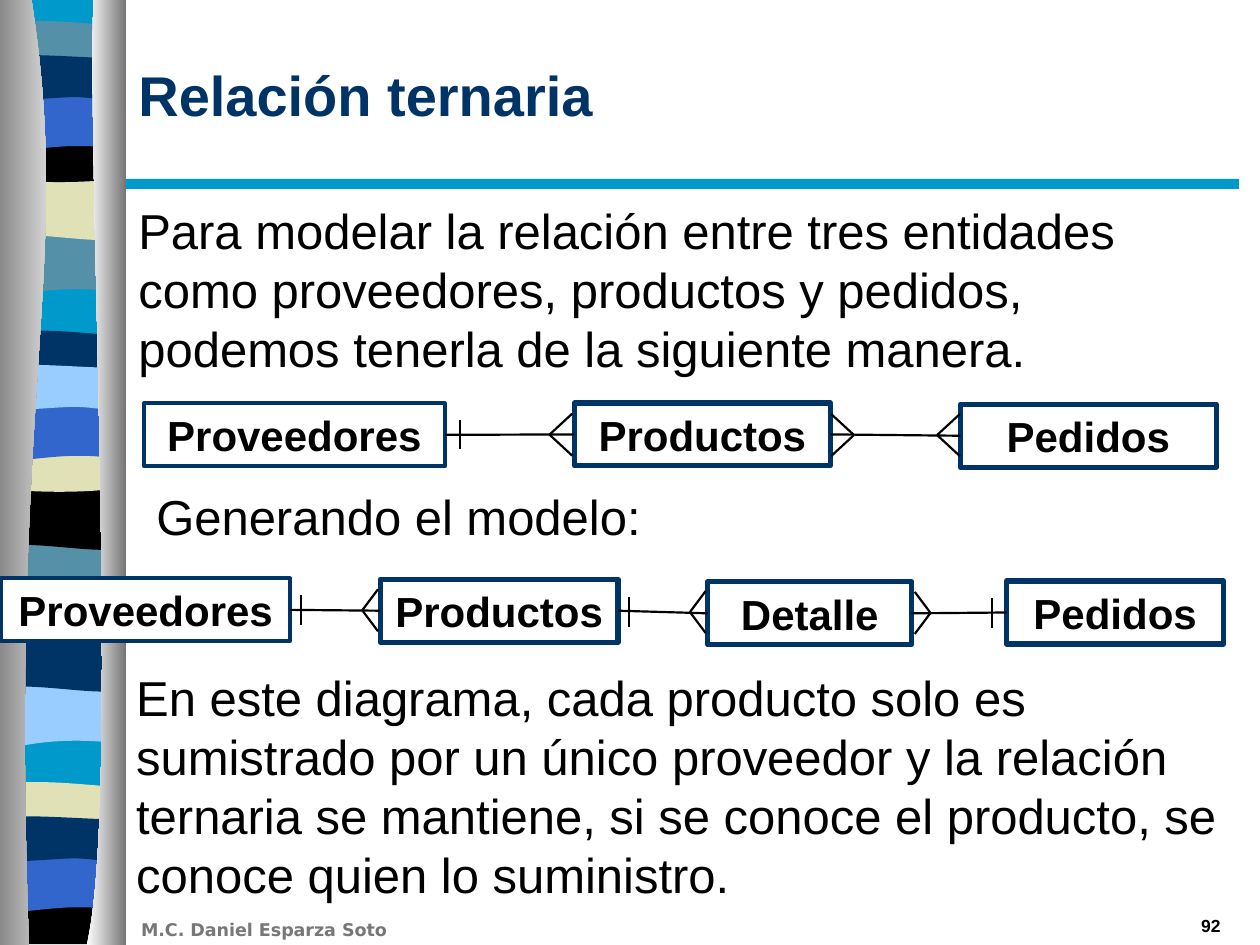
from lxml import etree
from pptx import Presentation
from pptx.dml.color import RGBColor
from pptx.enum import shapes, text
from pptx.oxml.ns import qn
from pptx.util import Pt

NAVY = RGBColor(0x00, 0x33, 0x66)
CYAN = RGBColor(0x00, 0x99, 0xCC)
TEAL = RGBColor(0x54, 0x90, 0xA8)
CREAM = RGBColor(0xE1, 0xE1, 0xB7)
BLUE = RGBColor(0x33, 0x66, 0xCC)
SKY = RGBColor(0x99, 0xCC, 0xFF)
GRAY = RGBColor(0x76, 0x76, 0x76)
FOOTER_GRAY = RGBColor(0x77, 0x77, 0x77)
BLACK = RGBColor(0, 0, 0)
WHITE = RGBColor(255, 255, 255)

# Band outlines: a pair is a straight step, a six-tuple is a Bezier curve.
L, R = -3.5, 70.5
SLOPE = [(R, 133), (R, 167), (19.5, 161, 9.5, 173, L, 167), (L, 133)]
DIP = [(R, 101.5), (R, 135.5), (58.5, 141, 19.5, 131, L, 135.5), (L, 101.5)]
CREST = [(R, 15), (R, 32.5), (58.5, 36, 9.5, 36, L, 32.5), (L, 15),
         (1.5, 11.5, 13, 12, 25, 12), (37.5, 12, 61, 14.5, R, 15)]
BOWL = [(R, 78), (R, 101), (58.5, 105, 9.5, 105, L, 101), (L, 78),
        (42.5, 81.5, 55.5, 78, R, 78)]
FLAT_BOWL = [(R, 78), (R, 104.5), (L, 104.5), (L, 78),
             (42.5, 81.5, 55.5, 78, R, 78)]
ARCH = [(R, 53.5), (R, 87), (59, 83.5, 54.5, 83.5, 42.5, 83.5),
        (30, 83.5, 8, 87, L, 87), (L, 53.5)]
RIPPLE = [(R, 33), (R, 55.5), (66, 59, 54.5, 55.5, 42.5, 55.5),
          (30, 55.5, 4.5, 59, L, 55.5), (L, 33),
          (7, 29.5, 47, 33, 59, 33), (71, 33, 68.5, 33, R, 33)]
BANDS = [
    (0, [(SLOPE, TEAL), (DIP, CREAM), (CREST, TEAL),
         (BOWL, BLACK), (ARCH, BLUE), (RIPPLE, NAVY)]),
    (177, [(SLOPE, TEAL), (DIP, BLACK), (CREST, NAVY),
           (BOWL, CREAM), (ARCH, BLUE), (RIPPLE, SKY)]),
    (258, [(SLOPE, SKY), (DIP, NAVY)]),
    (435, [(CREST, CREAM), (FLAT_BOWL, BLACK), (ARCH, BLUE), (RIPPLE, NAVY)]),
]
LEFT_EDGE = [(18, 0), (42, 155.5, 5, 213, 16.5, 540), (-7, 540), (-7, 0)]
RIGHT_EDGE = [(53.5, 0), (49.5, 90, 69, 465, 49.5, 540), (72, 540), (72, 0)]


def add_outline(page, steps, dy=0):
    """Build a closed outline; each six-tuple step becomes one Bezier curve."""
    points = [(Pt(x), Pt(y + dy))
              for step in steps for x, y in zip(step[::2], step[1::2])]
    builder = page.shapes.build_freeform(*points[0])
    builder.add_line_segments(points[1:], close=True)
    shape = builder.convert_to_shape()
    segments = iter(list(shape._element.iter(qn("a:lnTo"))))
    for step in steps[1:]:
        segment = next(segments)
        if len(step) == 6:
            segment.tag = qn("a:cubicBezTo")
            for _ in range(2):
                extra = next(segments)
                segment.append(extra[0])
                extra.getparent().remove(extra)
    shape.line.fill.background()
    shape.shadow.inherit = False
    return shape


def add_band(page, steps, color, dy=0):
    shape = add_outline(page, steps, dy)
    shape.fill.solid()
    shape.fill.fore_color.rgb = color


def add_shaded_edge(page, steps, left_color, right_color):
    shape = add_outline(page, steps)
    shape.fill.gradient()
    shape.fill.gradient_angle = 0
    for stop, color, position in zip(shape.fill.gradient_stops,
                                     (left_color, right_color), (0, 1)):
        stop.color.rgb = color
        stop.position = position


def add_ribbon(page):
    add_band(page, [(R, 0), (R, 538), (L, 538), (L, 0)], CYAN)
    for dy, bands in BANDS:
        for steps, color in bands:
            add_band(page, steps, color, dy)
    add_shaded_edge(page, LEFT_EDGE, GRAY, WHITE)
    add_shaded_edge(page, RIGHT_EDGE, WHITE, GRAY)


def add_rect(page, left, top, width, height):
    shape = page.shapes.add_shape(shapes.MSO_SHAPE.RECTANGLE,
                                  Pt(left), Pt(top), Pt(width), Pt(height))
    shape.shadow.inherit = False
    return shape


def write(box, words, size, color=BLACK, bold=False, font="Arial",
          align=text.PP_ALIGN.LEFT, anchor=text.MSO_ANCHOR.TOP):
    frame = box.text_frame
    frame.word_wrap = True
    frame.vertical_anchor = anchor
    para = frame.paragraphs[0]
    para.alignment = align
    span = para.add_run()
    span.text = words
    span.font.name = font
    span.font.size = Pt(size)
    span.font.bold = bold
    span.font.color.rgb = color


def add_text(page, left, top, width, height, words, size, **style):
    box = page.shapes.add_textbox(Pt(left), Pt(top), Pt(width), Pt(height))
    write(box, words, size, **style)


def add_entity(page, left, top, width, height, name, border=3, filled=False):
    box = add_rect(page, left, top, width, height)
    if filled:
        box.fill.solid()
        box.fill.fore_color.rgb = WHITE
    else:
        box.fill.background()
    box.line.color.rgb = NAVY
    box.line.width = Pt(border)
    write(box, name, 24, bold=True, align=text.PP_ALIGN.CENTER)
    box.text_frame.auto_size = text.MSO_AUTO_SIZE.SHAPE_TO_FIT_TEXT
    return box


def add_line(page, x1, y1, x2, y2):
    line = page.shapes.add_connector(shapes.MSO_CONNECTOR.STRAIGHT,
                                     Pt(x1), Pt(y1), Pt(x2), Pt(y2))
    line.line.color.rgb = BLACK
    line.line.width = Pt(1.25)
    etree.SubElement(line._element.spPr, qn("a:effectLst"))
    return line


def add_end_mark(page, x, y, direction, kind, reach):
    """Draw a crow's foot ("many") or a bar ("one"); direction leads away from the box."""
    if kind == "many":
        for spread in (-12, 12):
            add_line(page, x + direction * reach, y, x, y + spread)
    else:
        bar = x + direction * reach * 0.65
        add_line(page, bar, y - 8.5, bar, y + 8.5)


def add_entity_row(page, entities, links, reach):
    """Place entities left to right; a link gives the x and kind of mark at both ends."""
    height = 36
    boxes = [add_entity(page, left, top, width, height, name, **style)
             for left, top, width, name, style in entities]
    for i, (start, start_kind, end, end_kind) in enumerate(links):
        middle = (entities[i][1] + entities[i + 1][1] + height) / 2
        line = add_line(page, start, middle, end, middle)
        line.begin_connect(boxes[i], 3)
        line.end_connect(boxes[i + 1], 1)
        add_end_mark(page, start, middle, 1, start_kind, reach)
        add_end_mark(page, end, middle, -1, end_kind, reach)


def main():
    deck = Presentation()
    deck.slide_width, deck.slide_height = Pt(720), Pt(540)
    page = deck.slides.add_slide(deck.slide_layouts[6])

    add_ribbon(page)
    rule = add_rect(page, 72, 102.25, 636, 5.75)
    rule.fill.solid()
    rule.fill.fore_color.rgb = CYAN
    rule.line.fill.background()

    add_text(page, 72, 9, 632, 90, "Relación ternaria", 32, color=NAVY, bold=True,
             anchor=text.MSO_ANCHOR.MIDDLE)
    add_text(page, 72, 111.25, 632, 102,
             "Para modelar la relación entre tres entidades como proveedores, "
             "productos y pedidos, podemos tenerla de la siguiente manera.", 28)
    thin = {"border": 2.25}
    add_entity_row(page,
                   [(82.25, 230.5, 172, "Proveedores", thin),
                    (328.25, 230.25, 146.25, "Productos", {}),
                    (548.75, 231, 146.25, "Pedidos", {})],
                   [(254.25, "one", 327, "many"), (475, "many", 548.5, "many")],
                   reach=13)
    add_text(page, 82.25, 274.5, 632, 55, "Generando el modelo:", 28)
    add_entity_row(page,
                   [(0.75, 330.5, 165, "Proveedores", {**thin, "filled": True}),
                    (217.25, 331, 136, "Productos", {}),
                    (404.5, 332.5, 116.5, "Detalle", {}),
                    (575.25, 332, 124, "Pedidos", {})],
                   [(166.25, "one", 216, "many"), (353.5, "one", 403.25, "many"),
                    (522.75, "many", 572.5, "one")], reach=9)
    add_text(page, 70.75, 378, 632, 142,
             "En este diagrama, cada producto solo es sumistrado por un único "
             "proveedor y la relación ternaria se mantiene, si se conoce el "
             "producto, se conoce quien lo suministro.", 28)
    add_text(page, 73.5, 521.5, 204, 19, "M.C. Daniel Esparza Soto", 10,
             color=FOOTER_GRAY, bold=True, font="DejaVu Sans")
    add_text(page, 554.5, 519.25, 150, 19, "92", 10, bold=True,
             align=text.PP_ALIGN.RIGHT)
    deck.save("out.pptx")


if __name__ == "__main__":
    main()
